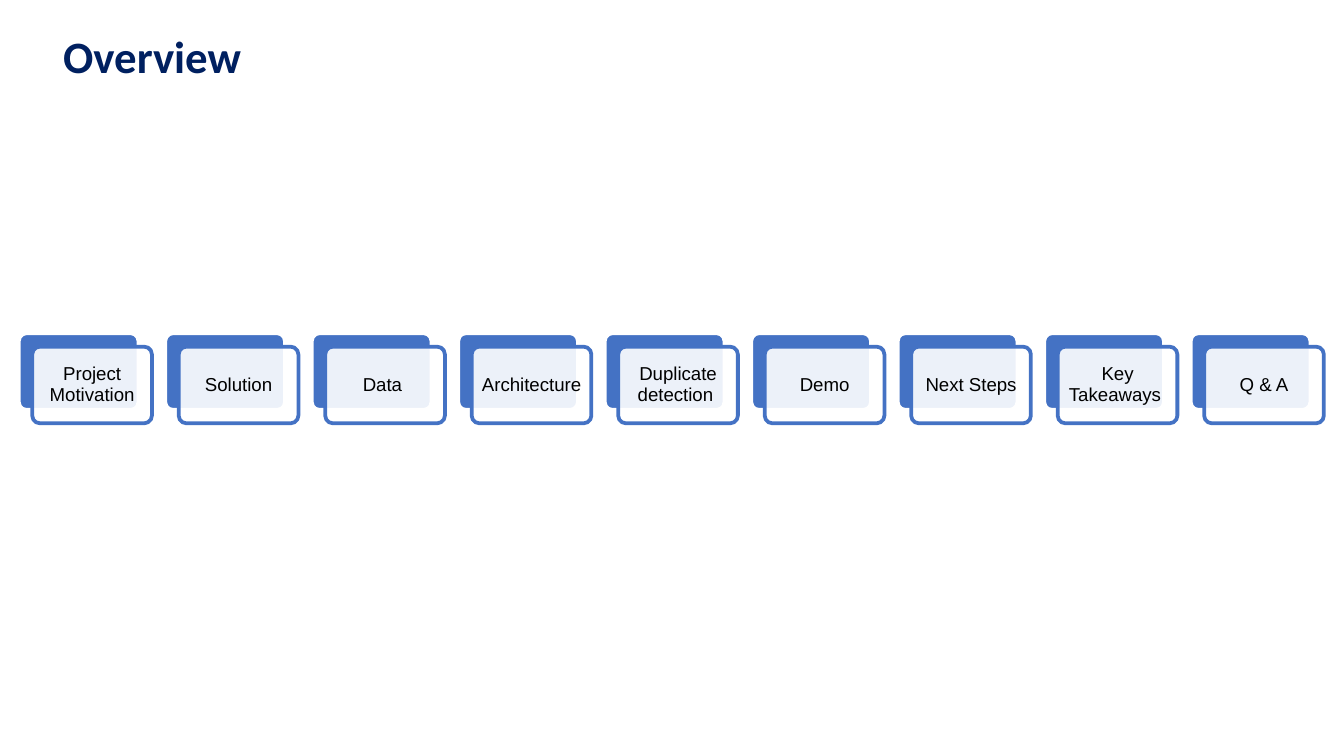
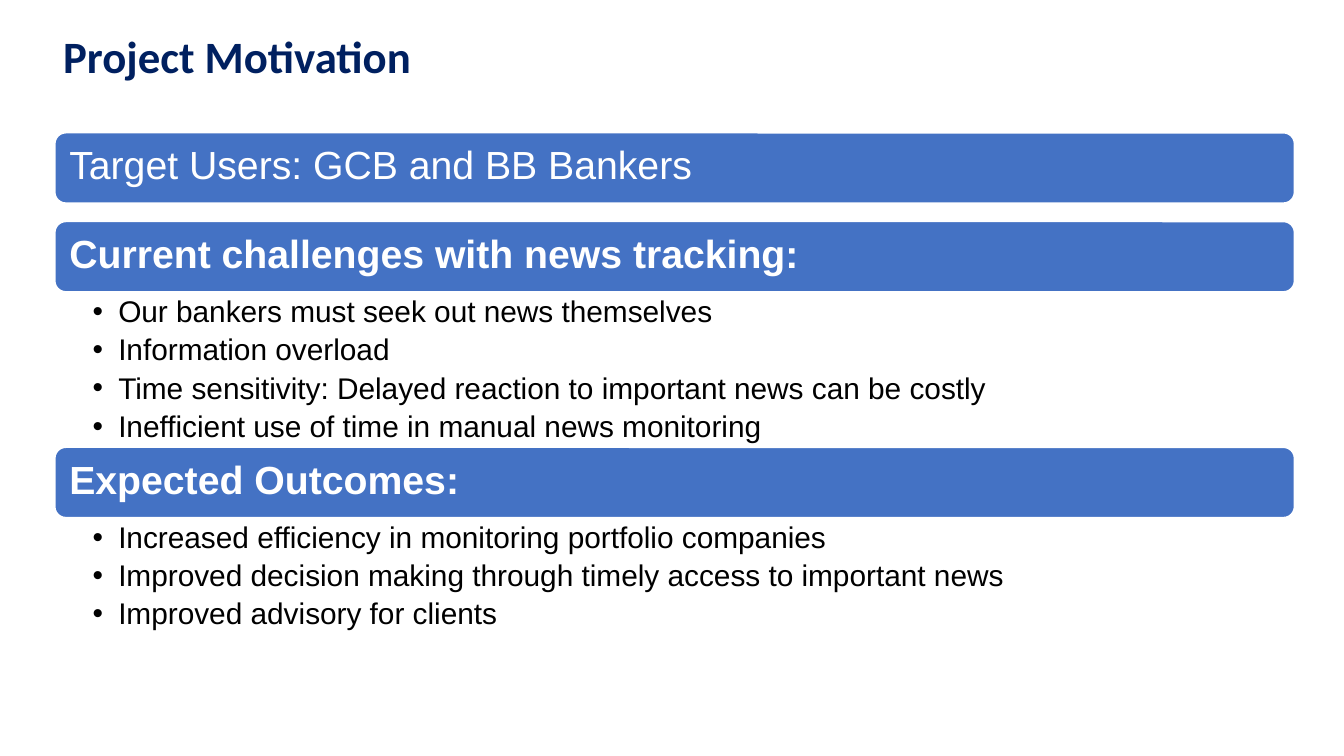
from lxml import etree
from pptx import Presentation
from pptx.dml.color import RGBColor
from pptx.enum.shapes import MSO_SHAPE
from pptx.enum.text import MSO_ANCHOR, PP_ALIGN
from pptx.oxml.ns import qn
from pptx.util import Inches, Pt

ROUNDED = MSO_SHAPE.ROUNDED_RECTANGLE
TOP, MIDDLE = MSO_ANCHOR.TOP, MSO_ANCHOR.MIDDLE
LEFT, CENTER = PP_ALIGN.LEFT, PP_ALIGN.CENTER

NAVY = RGBColor(0x00, 0x20, 0x60)
BLUE = RGBColor(0x44, 0x72, 0xC4)
WHITE = RGBColor(0xFF, 0xFF, 0xFF)
BLACK = RGBColor(0x00, 0x00, 0x00)

OVERVIEW_TITLE = "Overview"
AGENDA = [
    "Project Motivation", "Solution", "Data ", "Architecture", "Duplicate detection ",
    "Demo", "Next Steps", "Key Takeaways ", "Q & A",
]

MOTIVATION_TITLE = "Project Motivation"
# heading, bold, bullets
SECTIONS = [
    ("Target Users: GCB and BB Bankers", False, []),
    ("Current challenges with news tracking:", True, [
        "Our bankers must seek out news themselves",
        "Information overload",
        "Time sensitivity: Delayed reaction to important news can be costly",
        "Inefficient use of time in manual news monitoring",
    ]),
    ("Expected Outcomes:", True, [
        "Increased efficiency in monitoring portfolio companies",
        "Improved decision making through timely access to important news",
        "Improved advisory for clients",
    ]),
]

CARD_LEFT, CARD_TOP = 0.14, 2.48
CARD_WIDTH, CARD_HEIGHT = 0.89, 0.57
CARD_STEP, CARD_OFFSET = 1.09, 0.1

BAND_LEFT, BAND_WIDTH, BAND_HEIGHT = 0.4, 9.24, 0.54
FIRST_BAND_TOP, BAND_GAP = 0.98, 0.12
BULLET_LINE, BULLET_PADDING, BULLET_INDENT = 0.28, 0.02, 0.19


def set_frame(shape, insets, anchor):
    """Set wrapping, anchor and insets (left, top, right, bottom in inches)."""
    frame = shape.text_frame
    frame.word_wrap = True
    frame.vertical_anchor = anchor
    frame.margin_left, frame.margin_top, frame.margin_right, frame.margin_bottom = map(Inches, insets)
    return frame


def write(paragraph, text, size, color, font="Arial", bold=False, align=LEFT, spacing=0.9):
    paragraph.alignment = align
    paragraph.line_spacing = spacing
    run = paragraph.add_run()
    run.text = text
    run.font.name = font
    run.font.size = Pt(size)
    run.font.bold = bold
    run.font.color.rgb = color


def add_text_box(slide, left, top, width, height, insets):
    box = slide.shapes.add_textbox(Inches(left), Inches(top), Inches(width), Inches(height))
    return set_frame(box, insets, TOP)


def add_rounded(slide, left, top, width, height, fill, line):
    shape = slide.shapes.add_shape(ROUNDED, Inches(left), Inches(top), Inches(width), Inches(height))
    shape.shadow.inherit = False
    shape.fill.solid()
    shape.fill.fore_color.rgb = fill
    shape.line.color.rgb = line
    shape.line.width = Pt(2)
    return shape


def set_opacity(shape, percent):
    color = shape.element.spPr.find(qn("a:solidFill"))[0]
    etree.SubElement(color, qn("a:alpha"), val=str(percent * 1000))


def add_bullet(paragraph):
    properties = paragraph._p.get_or_add_pPr()
    properties.set("marL", str(Inches(BULLET_INDENT)))
    properties.set("indent", str(-Inches(BULLET_INDENT)))
    etree.SubElement(properties, qn("a:buFont"), typeface="Arial")
    etree.SubElement(properties, qn("a:buChar"), char="•")


def add_titled_slide(presentation, title, title_width):
    slide = presentation.slides.add_slide(presentation.slide_layouts[6])
    frame = add_text_box(slide, 0.4, 0.17, title_width, 0.61, (0.07, 0.04, 0.07, 0.04))
    write(frame.paragraphs[0], title, 24, NAVY, font="Calibri", bold=True, spacing=1.0)
    return slide


def add_agenda_card(slide, left, text):
    back = add_rounded(slide, left, CARD_TOP, CARD_WIDTH, CARD_HEIGHT, BLUE, WHITE)
    front = add_rounded(slide, left + CARD_OFFSET, CARD_TOP + CARD_OFFSET,
                        CARD_WIDTH, CARD_HEIGHT, WHITE, BLUE)
    for card in (back, front):
        card.adjustments[0] = 0.1
    set_opacity(front, 90)
    frame = set_frame(front, (0.05, 0.05, 0.05, 0.05), MIDDLE)
    write(frame.paragraphs[0], text, 10, BLACK, align=CENTER)


def add_band(slide, top, heading, bold):
    band = add_rounded(slide, BAND_LEFT, top, BAND_WIDTH, BAND_HEIGHT, BLUE, WHITE)
    frame = set_frame(band, (0.09, 0.08, 0.09, 0.09), MIDDLE)
    write(frame.paragraphs[0], heading, 21, WHITE, bold=bold)


def add_bullets(slide, top, height, bullets):
    frame = add_text_box(slide, BAND_LEFT, top, BAND_WIDTH, height, (0.29, 0.03, 0.16, 0.03))
    for index, text in enumerate(bullets):
        paragraph = frame.add_paragraph() if index else frame.paragraphs[0]
        write(paragraph, text, 16, BLACK)
        paragraph.space_after = Pt(3.2)
        add_bullet(paragraph)


def build_overview(presentation):
    slide = add_titled_slide(presentation, OVERVIEW_TITLE, 4)
    for index, text in enumerate(AGENDA):
        add_agenda_card(slide, CARD_LEFT + index * CARD_STEP, text)


def build_motivation(presentation):
    slide = add_titled_slide(presentation, MOTIVATION_TITLE, 7.64)
    top = FIRST_BAND_TOP
    for heading, bold, bullets in SECTIONS:
        add_band(slide, top, heading, bold)
        top += BAND_HEIGHT
        if bullets:
            height = len(bullets) * BULLET_LINE + BULLET_PADDING
            add_bullets(slide, top, height, bullets)
            top += height
        else:
            top += BAND_GAP


def main():
    presentation = Presentation()
    presentation.slide_width = Inches(10)
    presentation.slide_height = Inches(10) * 9 // 16
    build_overview(presentation)
    build_motivation(presentation)
    presentation.save("out.pptx")


if __name__ == "__main__":
    main()
